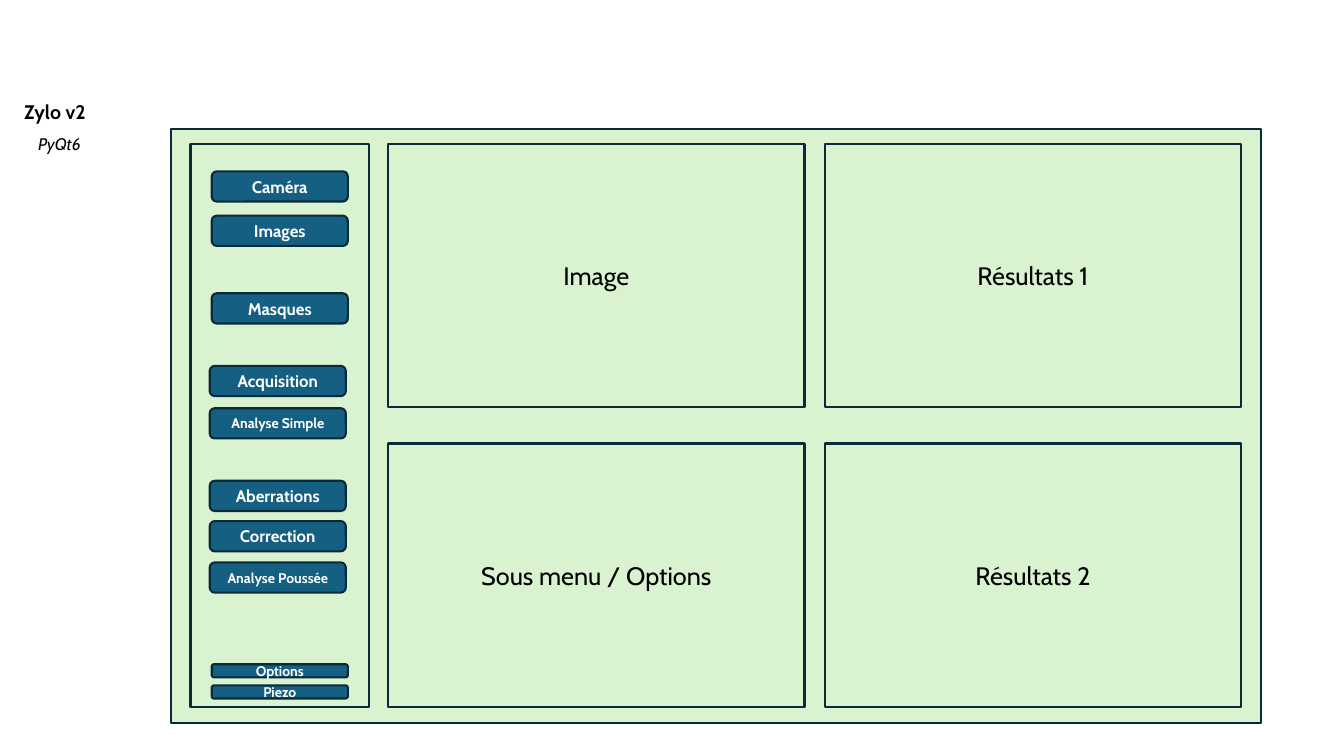
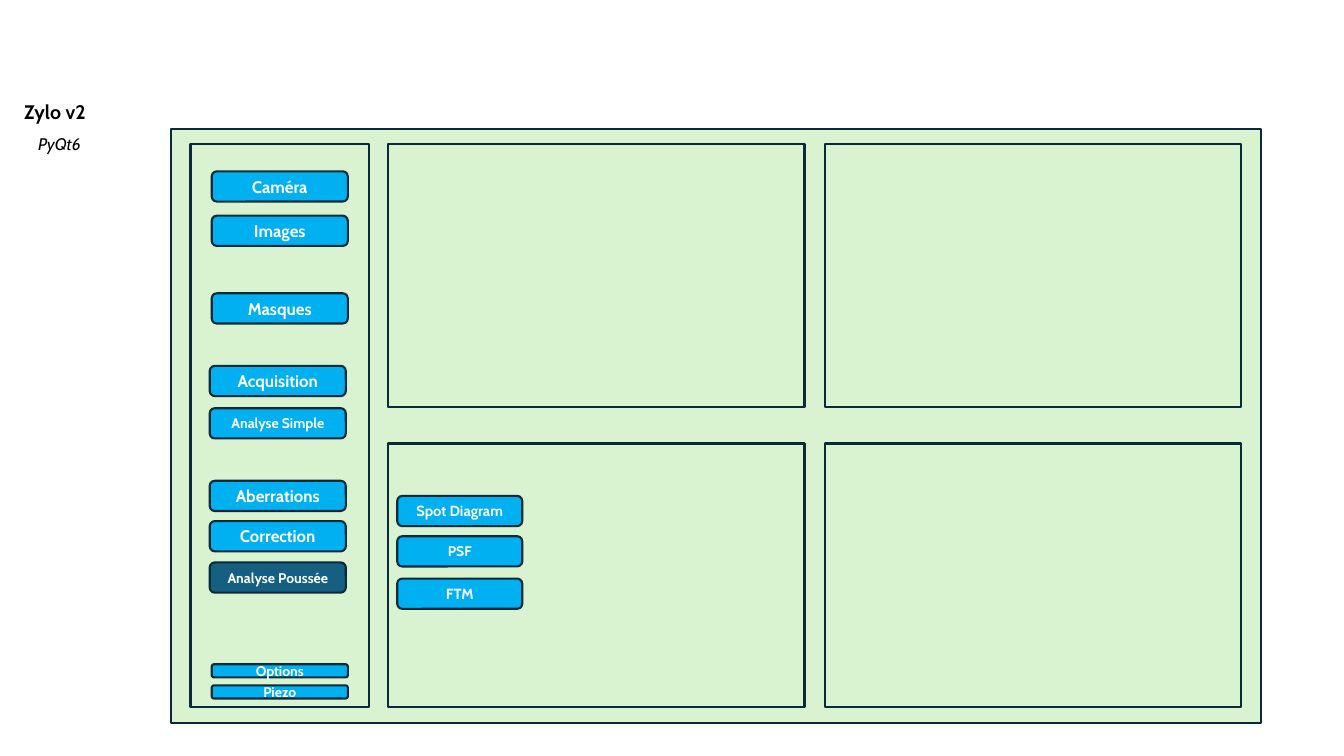
from pptx import Presentation
from pptx.dml.color import RGBColor
from pptx.enum.shapes import MSO_SHAPE
from pptx.enum.text import MSO_ANCHOR, MSO_AUTO_SIZE, PP_ALIGN
from pptx.util import Inches, Pt

RECT, ROUND = MSO_SHAPE.RECTANGLE, MSO_SHAPE.ROUNDED_RECTANGLE
CENTER, MIDDLE = PP_ALIGN.CENTER, MSO_ANCHOR.MIDDLE
GROW = MSO_AUTO_SIZE.SHAPE_TO_FIT_TEXT

FONT = "Cabin"
COLORS = {"panel": "D9F2D0", "line": "092A39", "dark": "156082",
          "bright": "00B0F0", "black": "000000", "white": "FFFFFF"}

WINDOW = (1.7, 1.28, 10.81, 5.89)
MENU = (1.89, 1.43, 1.77, 5.58)
PANE_LEFT, PANE_TOP, PANE_W, PANE_H = 3.85, 1.43, 4.13, 2.61
COL_STEP, ROW_STEP = 4.33, 2.97
BUTTON_W, BUTTON_H, BAR_H = 1.35, 0.3, 0.13
SUB_LEFT, SUB_W = 3.94, 1.24

MENU_GROUPS = [
    (2.1, BUTTON_H, [("Caméra", 1.7, 12), ("Images", 2.14, 12), ("Masques", 2.91, 12)]),
    (2.08, BUTTON_H, [("Acquisition", 3.63, 12), ("Analyse Simple", 4.05, 10),
                      ("Aberrations", 4.77, 12), ("Correction", 5.17, 12),
                      ("Analyse Poussée", 5.58, 10)]),
    (2.1, BAR_H, [("Options", 6.59, 10), ("Piezo", 6.8, 10)]),
]
SUBMENU = [("Spot Diagram", 4.92, 10.5), ("PSF", 5.32, 10), ("FTM", 5.74, 10.5)]
PANE_TITLES = [["Image", "Résultats 1"], ["Sous menu / Options", "Résultats 2"]]
NO_TITLES = [["", ""], ["", ""]]


def rgb(name):
    """Return the palette colour of this name."""
    return RGBColor.from_string(COLORS[name])


def write(tf, text, size=12, color="black", bold=False, italic=False, align=None):
    """Write one formatted line into a text frame."""
    p = tf.paragraphs[0]
    p.alignment = align
    r = p.add_run()
    r.text = text
    r.font.name, r.font.size = FONT, Pt(size)
    r.font.bold, r.font.italic = bold, italic
    r.font.color.rgb = rgb(color)


def add_label(s, box, text, **fmt):
    """Add an unwrapped text box."""
    tf = s.shapes.add_textbox(*map(Inches, box)).text_frame
    tf.word_wrap = False
    tf.auto_size = GROW
    write(tf, text, **fmt)


def add_box(s, box, text="", kind=RECT, fill="panel", **fmt):
    """Add an outlined shape with optional centred text."""
    sp = s.shapes.add_shape(kind, *map(Inches, box))
    sp.shadow.inherit = False
    sp.fill.solid()
    sp.fill.fore_color.rgb = rgb(fill)
    sp.line.color.rgb = rgb("line")
    sp.line.width = Pt(1.5)
    if text:
        sp.text_frame.vertical_anchor = MIDDLE
        write(sp.text_frame, text, align=CENTER, **fmt)


def add_buttons(s, left, width, height, items, fill, active=None):
    """Add a column of buttons, with the active one dark."""
    for text, top, size in items:
        add_box(s, (left, top, width, height), text, kind=ROUND,
                fill="dark" if text == active else fill,
                size=size, color="white", bold=True)


def add_screen(prs, titles, fill, active=None):
    """Add a slide with the window, its four panes and its menu."""
    s = prs.slides.add_slide(prs.slide_layouts[6])
    add_label(s, (0.14, 0.94, 0.86, 0.34), "Zylo v2", size=14, bold=True)
    add_label(s, (0.28, 1.28, 0.64, 0.3), "PyQt6", italic=True)
    add_box(s, WINDOW)
    for row, texts in enumerate(titles):
        for col, text in enumerate(texts):
            add_box(s, (PANE_LEFT + col * COL_STEP, PANE_TOP + row * ROW_STEP,
                        PANE_W, PANE_H), text, size=18)
    add_box(s, MENU)
    for left, height, items in MENU_GROUPS:
        add_buttons(s, left, BUTTON_W, height, items, fill, active)
    return s


def main():
    """Build and save both screens."""
    prs = Presentation()
    prs.slide_width, prs.slide_height = Inches(13.33), Inches(7.5)
    add_screen(prs, PANE_TITLES, "dark")
    s = add_screen(prs, NO_TITLES, "bright", active="Analyse Poussée")
    add_buttons(s, SUB_LEFT, SUB_W, BUTTON_H, SUBMENU, "bright")
    prs.save("out.pptx")


if __name__ == "__main__":
    main()
